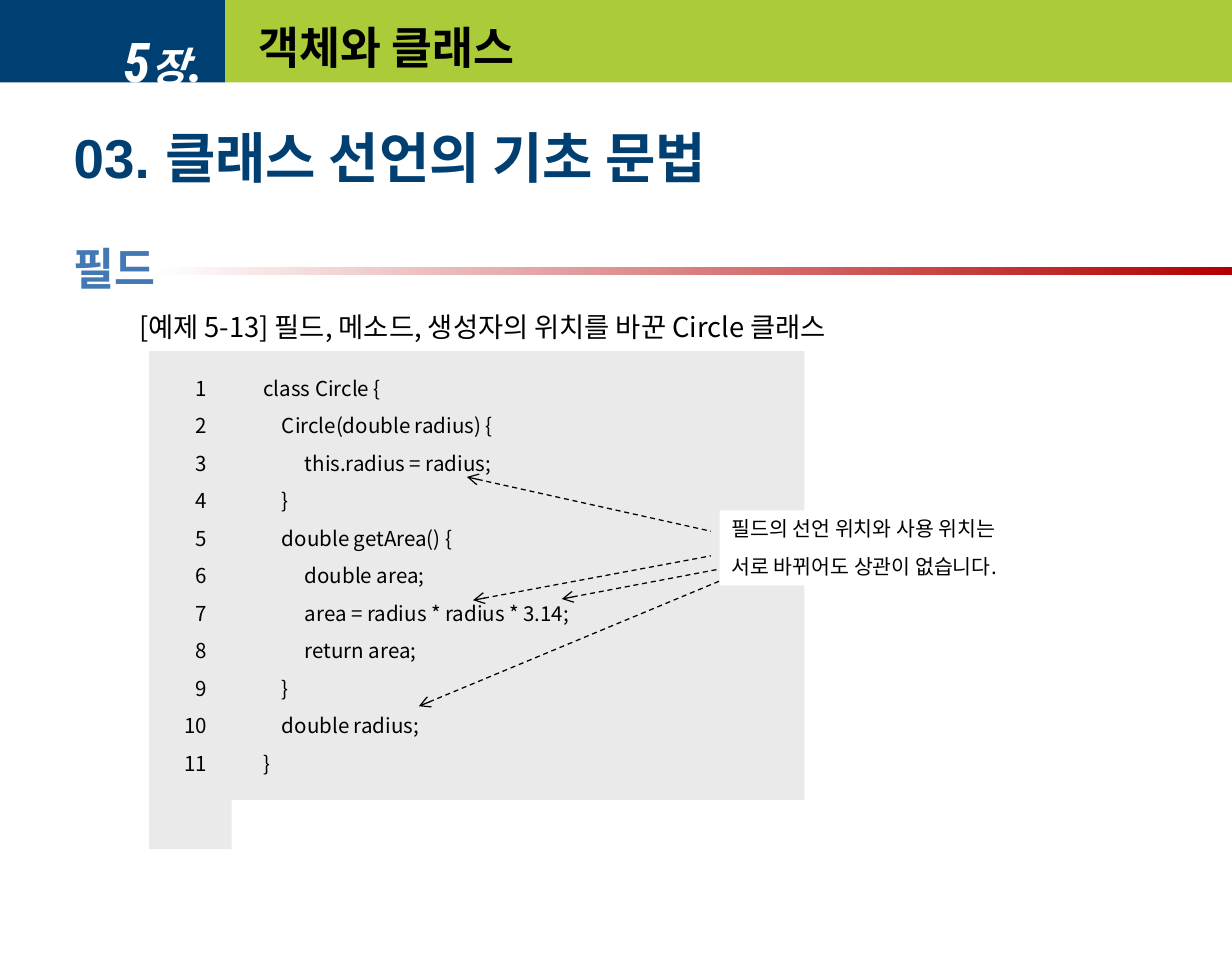
import pptx
import pptx.dml.color
import pptx.enum.dml
import pptx.enum.shapes
import pptx.enum.text
import pptx.oxml.ns
import pptx.util
from lxml import etree

Inches = pptx.util.Inches
Pt = pptx.util.Pt
ALIGN = pptx.enum.text.PP_ALIGN
ANCHOR = pptx.enum.text.MSO_ANCHOR
KOREAN = "Noto Sans CJK KR"
COLORS = {
    "navy": "003F71", "lime": "ACCB39", "blue": "4378B5", "red": "B20000",
    "panel": "EAEAEA", "white": "FFFFFF", "black": "000000",
}
CODE = """class Circle {
    Circle(double radius) {
         this.radius = radius;
    }
    double getArea() {
         double area;
         area = radius * radius * 3.14;
         return area;
    }
    double radius;
}""".split("\n")


def rgb(name):
    return pptx.dml.color.RGBColor.from_string(COLORS[name])


def add_xml(parent, tag, **attributes):
    return etree.SubElement(parent, pptx.oxml.ns.qn(tag), attributes)


class SlideBuilder:
    """Holds the text style and the slide being built."""

    base_font = {"size": Pt(12), "name": KOREAN, "bold": False, "italic": False}

    def __init__(self, slide):
        self.slide = slide

    def rectangle(self, left, top, width, height, color):
        shape = self.slide.shapes.add_shape(
            pptx.enum.shapes.MSO_SHAPE.RECTANGLE,
            Inches(left), Inches(top), Inches(width), Inches(height))
        shape.shadow.inherit = False
        shape.fill.solid()
        shape.fill.fore_color.rgb = rgb(color)
        shape.line.fill.background()
        return shape

    def gradient_bar(self, left, top, width, height, colors):
        shape = self.rectangle(left, top, width, height, colors[0])
        shape.fill.gradient()
        shape.fill.gradient_angle = 0
        for stop, color in zip(shape.fill.gradient_stops, colors):
            stop.color.rgb = rgb(color)

    def text_box(self, left, top, width, height, **frame_format):
        shape = self.slide.shapes.add_textbox(
            Inches(left), Inches(top), Inches(width), Inches(height))
        self.format_frame(shape, **frame_format)
        return shape

    def format_frame(self, shape, **frame_format):
        values = {"word_wrap": True, "vertical_anchor": ANCHOR.TOP, **frame_format}
        for key, value in values.items():
            setattr(shape.text_frame, key, value)

    def paragraph(self, shape, runs, **paragraph_format):
        """Append a paragraph made of (text, color, font format) runs."""
        frame = shape.text_frame
        first = frame.paragraphs[0]
        paragraph = frame.add_paragraph() if first.runs else first
        for key, value in {"alignment": ALIGN.LEFT, **paragraph_format}.items():
            setattr(paragraph, key, value)
        for text, color, font_format in runs:
            run = paragraph.add_run()
            run.text = text
            for key, value in {**self.base_font, **font_format}.items():
                setattr(run.font, key, value)
            run.font.color.rgb = rgb(color)
            add_xml(run.font._element, "a:ea", typeface=KOREAN)
        return paragraph

    def lines(self, shape, texts, alignment=ALIGN.LEFT):
        for index, text in enumerate(texts):
            self.paragraph(shape, [(text, "black", {})], alignment=alignment,
                           line_spacing=Pt(14.4), space_before=Pt(7.5 if index else 0))

    def arrow(self, tip, tail):
        connector = self.slide.shapes.add_connector(
            pptx.enum.shapes.MSO_CONNECTOR.STRAIGHT,
            *(Inches(value) for value in (*tip, *tail)))
        connector.line.color.rgb = rgb("black")
        connector.line.width = Pt(0.75)
        connector.line.dash_style = pptx.enum.dml.MSO_LINE.DASH
        add_xml(connector.line._get_or_add_ln(), "a:headEnd", type="arrow")
        add_xml(connector._element.spPr, "a:effectLst")


def main():
    presentation = pptx.Presentation()
    presentation.slide_width = Inches(10)
    presentation.slide_height = Inches(7.87)
    builder = SlideBuilder(presentation.slides.add_slide(presentation.slide_layouts[6]))

    # Header band with chapter number and title
    builder.rectangle(0, 0, 1.83, 0.67, "navy")
    chapter = builder.text_box(0, 0.08, 1.75, 0.83, vertical_anchor=ANCHOR.MIDDLE)
    chapter_font = {"name": "Roboto Condensed", "bold": True, "italic": True}
    builder.paragraph(
        chapter,
        [(text, "white", {**chapter_font, "size": Pt(size)})
         for text, size in (("5", 32), ("장", 24), (".", 32))],
        alignment=ALIGN.RIGHT)
    builder.rectangle(1.83, 0, 8.17, 0.67, "lime")
    title = builder.text_box(2, 0.08, 7.83, 0.6, vertical_anchor=ANCHOR.MIDDLE)
    builder.paragraph(title, [("객체와 클래스", "black", {"size": Pt(26), "bold": True})])

    # Section headings and example caption
    builder.gradient_bar(1.25, 2.17, 8.75, 0.06, ("white", "red"))
    body = builder.text_box(0.5, 0.92, 8.99, 5.92)
    heading_font = {"size": Pt(32), "bold": True}
    builder.paragraph(
        body,
        [("03. ", "navy", {**heading_font, "name": "Arial"}),
         ("클래스 선언의 기초 문법", "navy", heading_font)],
        line_spacing=Pt(41))
    builder.paragraph(
        body,
        [("필드", "blue", {"size": Pt(26), "bold": True, "name": "Arial Narrow"})],
        line_spacing=Pt(30), space_before=Pt(31), space_after=Pt(6.5))
    caption = builder.paragraph(
        body,
        [("[예제 5-13] 필드, 메소드, 생성자의 위치를 바꾼 Circle 클래스",
          "black", {"size": Pt(16)})],
        line_spacing=Pt(18), space_before=Pt(4), space_after=Pt(4))
    for key, value in {"marL": 0.64, "indent": -0.11}.items():
        caption._p.get_or_add_pPr().set(key, str(Inches(value)))

    # Code listing with line numbers
    numbers = builder.rectangle(1.21, 2.85, 0.67, 4.04, "panel")
    code = builder.rectangle(1.86, 2.85, 4.67, 3.64, "panel")
    margins = {"margin_top": Inches(0.2), "margin_bottom": Inches(0.2),
               "margin_right": Inches(0.2)}
    builder.format_frame(numbers, margin_left=Inches(0.2), **margins)
    builder.format_frame(code, margin_left=Inches(0.28), **margins)
    builder.lines(numbers, [str(number + 1) for number in range(len(CODE))], ALIGN.RIGHT)
    builder.lines(code, CODE, ALIGN.JUSTIFY)

    # Arrows from the remark to each use of the field
    for tip, tail in (
        ((3.84, 4.87), (5.77, 4.51)),
        ((4.56, 4.86), (5.93, 4.6)),
        ((3.79, 3.87), (5.77, 4.31)),
        ((3.4, 5.73), (6.02, 4.64)),
    ):
        builder.arrow(tip, tail)

    # Remark
    remark = builder.rectangle(5.84, 4.14, 2.61, 0.61, "white")
    builder.format_frame(remark, word_wrap=False)
    builder.lines(remark, ["필드의 선언 위치와 사용 위치는", "서로 바뀌어도 상관이 없습니다."])

    presentation.save("out.pptx")


if __name__ == "__main__":
    main()
